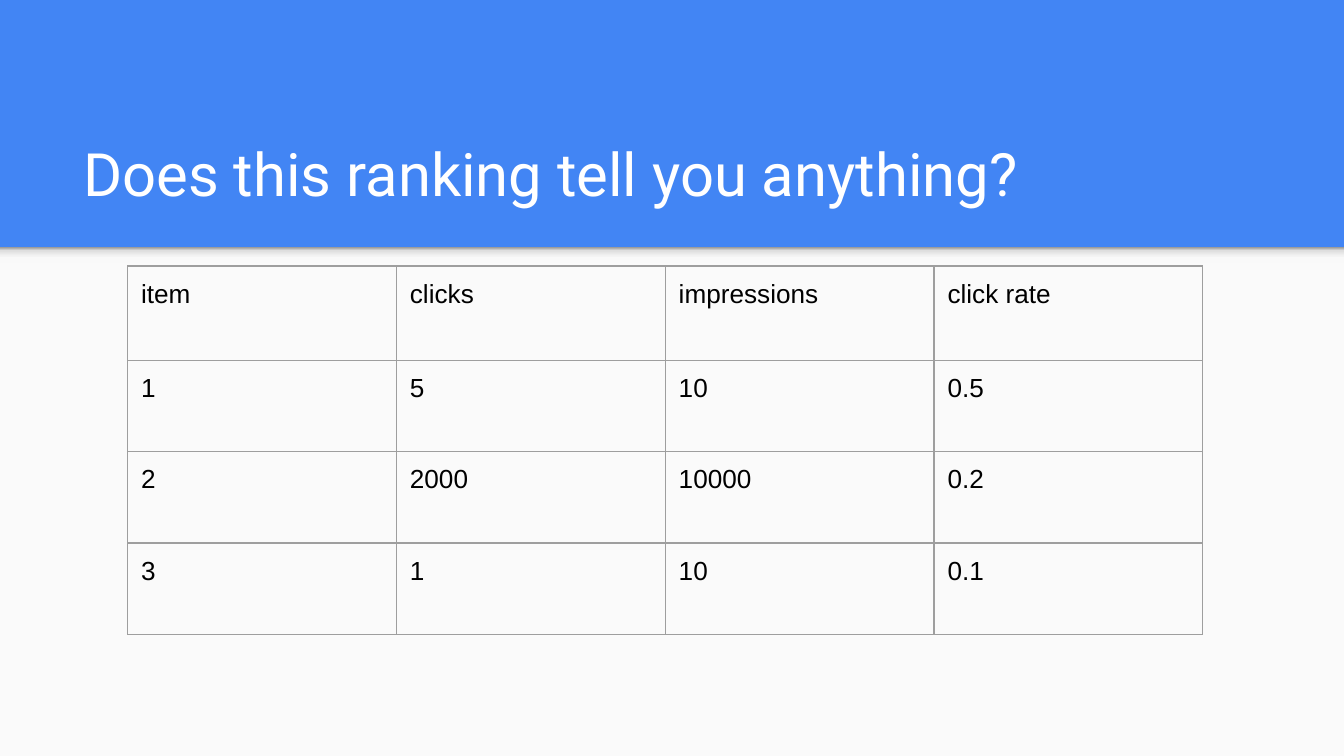
"""Build a slide that asks whether a click-rate ranking is meaningful."""
from pptx import Presentation
from pptx.dml.color import RGBColor
from pptx.enum.shapes import MSO_SHAPE
from pptx.enum.text import MSO_ANCHOR, MSO_AUTO_SIZE, PP_ALIGN
from pptx.oxml import parse_xml
from pptx.oxml.ns import nsdecls, qn
from pptx.util import Inches, Pt

RECTANGLE = MSO_SHAPE.RECTANGLE
TOP, BOTTOM = MSO_ANCHOR.TOP, MSO_ANCHOR.BOTTOM
LEFT = PP_ALIGN.LEFT
NO_AUTOFIT = MSO_AUTO_SIZE.NONE

TITLE = "Does this ranking tell you anything?"
RANKING = [
    ("item", "clicks", "impressions", "click rate"),
    ("1", "5", "10", "0.5"),
    ("2", "2000", "10000", "0.2"),
    ("3", "1", "10", "0.1"),
]
BLUE, PAPER, GRID = "4285F4", "FAFAFA", "9E9E9E"
SHADE_STOPS = [(0, "999999"), (20, "DEDEDE"), (64, "F9F9F9"), (100, "F9F9F9")]

WIDTH = 10
HEIGHT = WIDTH * 9 / 16
BANNER_HEIGHT = 1.84
SHADE_HEIGHT = 0.12
TABLE_LEFT, TABLE_TOP = 0.95, 1.98
COLUMN_WIDTH = 2
HEADER_HEIGHT, ROW_HEIGHT = 0.7, 0.68
MARGIN = 0.1


def color(value):
    """Turn a hex string into a colour."""
    return RGBColor.from_string(value)


def write(frame, text, *, size, font, fill):
    """Put one left-aligned, formatted paragraph in a text frame."""
    paragraph = frame.paragraphs[0]
    paragraph.alignment = LEFT
    run = paragraph.add_run()
    run.text = text
    run.font.size, run.font.name, run.font.bold = Pt(size), font, False
    run.font.color.rgb = color(fill)


def pad(box):
    """Give a cell or text frame equal margins on all sides."""
    box.margin_left = box.margin_right = Inches(MARGIN)
    box.margin_top = box.margin_bottom = Inches(MARGIN)


def add_band(slide, top, height):
    """Add a full-width plain rectangle."""
    band = slide.shapes.add_shape(
        RECTANGLE, 0, Inches(top), Inches(WIDTH), Inches(height))
    band.shadow.inherit = False
    band.line.fill.background()
    band.fill.solid()
    band.fill.fore_color.rgb = color(PAPER)
    return band


def shade(band):
    """Replace the solid fill of a band with a downward gradient."""
    stops = "".join(
        f'<a:gs pos="{share * 1000}"><a:srgbClr val="{value}"/></a:gs>'
        for share, value in SHADE_STOPS)
    gradient = parse_xml(
        f'<a:gradFill {nsdecls("a")}><a:gsLst>{stops}</a:gsLst>'
        '<a:lin ang="5400000" scaled="0"/></a:gradFill>')
    properties = band._element.spPr
    properties.replace(properties.find(qn("a:solidFill")), gradient)


def outline(cell):
    """Draw all four borders of a table cell."""
    properties = cell._tc.get_or_add_tcPr()
    for place, side in enumerate("LRTB"):
        properties.insert(place, parse_xml(
            f'<a:ln{side} {nsdecls("a")} w="{Pt(0.75)}"><a:solidFill>'
            f'<a:srgbClr val="{GRID}"/></a:solidFill></a:ln{side}>'))


def add_title(slide):
    """Place and format the title placeholder."""
    title = slide.shapes.title
    title.left, title.top = Inches(0.52), Inches(0.81)
    title.width, title.height = Inches(8.99), Inches(0.84)
    frame = title.text_frame
    frame.word_wrap, frame.auto_size = True, NO_AUTOFIT
    frame.vertical_anchor = BOTTOM
    pad(frame)
    write(frame, TITLE, size=32, font="Roboto", fill="FFFFFF")


def add_ranking(slide):
    """Add the ranking table with plain bordered cells."""
    rows, columns = len(RANKING), len(RANKING[0])
    heights = [HEADER_HEIGHT] + [ROW_HEIGHT] * (rows - 1)
    table = slide.shapes.add_table(
        rows, columns, Inches(TABLE_LEFT), Inches(TABLE_TOP),
        Inches(columns * COLUMN_WIDTH), Inches(sum(heights))).table
    table.first_row = table.horz_banding = False
    for column in table.columns:
        column.width = Inches(COLUMN_WIDTH)
    for row, height, values in zip(table.rows, heights, RANKING):
        row.height = Inches(height)
        for cell, value in zip(row.cells, values):
            cell.fill.background()
            cell.vertical_anchor = TOP
            pad(cell)
            write(cell.text_frame, value, size=14, font="Arial", fill="000000")
            outline(cell)


def main():
    """Build and save the slide."""
    deck = Presentation()
    deck.slide_width, deck.slide_height = Inches(WIDTH), Inches(HEIGHT)
    slide = deck.slides.add_slide(deck.slide_layouts[5])
    slide.background.fill.solid()
    slide.background.fill.fore_color.rgb = color(BLUE)
    add_band(slide, BANNER_HEIGHT, HEIGHT - BANNER_HEIGHT)
    shade(add_band(slide, BANNER_HEIGHT, SHADE_HEIGHT))
    add_title(slide)
    add_ranking(slide)
    deck.save("out.pptx")


if __name__ == "__main__":
    main()
